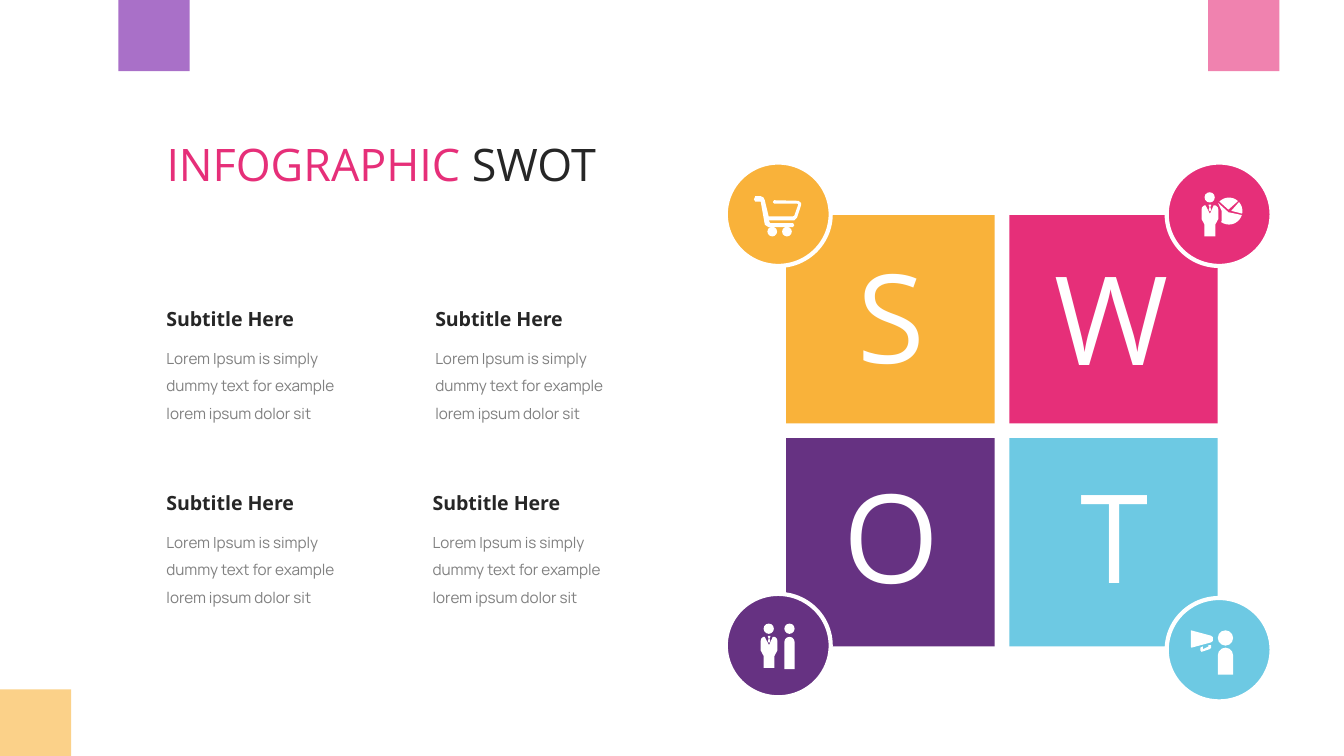
import math
from dataclasses import dataclass

import pptx
import pptx.dml.color
import pptx.enum.shapes
import pptx.enum.text
import pptx.util

Pt = pptx.util.Pt
Kind = pptx.enum.shapes.MSO_SHAPE
Align = pptx.enum.text.PP_ALIGN


@dataclass(frozen=True)
class Theme:
    white: str = "FFFFFF"
    ink: str = "262626"
    gray: str = "808080"
    pink: str = "E62F79"
    plum: str = "663282"
    blue: str = "6DC9E3"
    gold: str = "F9B23A"
    sand: str = "FBD189"
    rose: str = "F082AF"
    lilac: str = "A970C8"
    head: str = "Open Sans"
    text: str = "Manrope"
    title: float = 24
    sub: float = 10.5
    body: float = 8.2
    letter: float = 66


T = Theme()


def rgb(code):
    return pptx.dml.color.RGBColor.from_string(code)


def write(shape, runs, size, font=T.head, bold=False, align=Align.LEFT, space=1.0):
    """Fill a text shape with (text, colour) runs."""
    frame = shape.text_frame
    frame.word_wrap = True
    frame.auto_size = pptx.enum.text.MSO_AUTO_SIZE.NONE
    frame.vertical_anchor = pptx.enum.text.MSO_ANCHOR.MIDDLE
    frame.margin_left = frame.margin_right = Pt(6.4)
    frame.margin_top = frame.margin_bottom = Pt(3)
    par = frame.paragraphs[0]
    par.alignment = align
    par.line_spacing = space
    for text, color in runs:
        run = par.add_run()
        run.text = text
        run.font.name = font
        run.font.size = Pt(size)
        run.font.bold = bold
        run.font.color.rgb = rgb(color)


def label(shapes, box, text, color, size, **form):
    write(shapes.add_textbox(*map(Pt, box)), [(text, color)], size, **form)


def paint(shape, color, edge=None):
    shape.shadow.inherit = False
    shape.fill.solid()
    shape.fill.fore_color.rgb = rgb(color)
    if edge:
        shape.line.color.rgb = rgb(edge)
        shape.line.width = Pt(2.25)
    else:
        shape.line.fill.background()
    return shape


def block(shapes, kind, box, color, edge=None):
    return paint(shapes.add_shape(kind, *map(Pt, box)), color, edge)


# Icon parts, placed from the corner (x, y) of their badge
def outline(shapes, x, y, points, color=T.white):
    spots = [(Pt(x + a), Pt(y + b)) for a, b in points]
    pen = shapes.build_freeform(*spots[0])
    pen.add_line_segments(spots[1:], close=True)
    paint(pen.convert_to_shape(), color)


def dot(shapes, x, y, size):
    block(shapes, Kind.OVAL, (x, y, size, size), T.white)


def torso(shapes, x, y, wide, high):
    shape = block(shapes, Kind.ROUND_2_SAME_RECTANGLE, (x, y, wide, high), T.white)
    shape.adjustments[0] = 0.5


def arc(first, last, mid=(33.4, 26), radius=7.2):
    turns = [math.radians(first + (last - first) * i / 12) for i in range(13)]
    return [(mid[0] + radius * math.cos(t), mid[1] + radius * math.sin(t)) for t in turns]


SUIT = [(6.5, 0), (4.5, 4.5), (2.2, 0), (1.4, 0), (0.3, 1), (0, 2.3), (0, 7.2),
        (1.6, 10.2), (1.6, 16.6), (7.4, 16.6), (7.4, 10.2), (9, 7.2), (9, 2.3),
        (8.7, 1), (7.6, 0)]
TIE = [(3.8, -0.5), (5.2, -0.5), (5.2, 0), (4.7, 0.8), (5.2, 2.4), (4.5, 3.2),
       (3.8, 2.4), (4.3, 0.8), (3.8, 0)]
HORN = [(13, 17.3), (23.8, 20.2), (24.8, 21), (24.8, 23), (23.8, 23.8), (13.4, 26.6),
        (13, 26.3)]
GRIP = [(18, 26.6), (19.4, 25.9), (19.4, 27.4), (22.3, 26), (22.3, 25.2), (23.8, 25.2),
        (23.8, 26.6), (23, 27.4), (18.7, 28.8), (18, 28.1)]
CART = [(15.8, 18), (18.7, 18), (20.2, 18.7), (20.9, 20.2), (23, 28.8), (36, 28.8),
        (36.7, 28.5), (38.9, 22.3), (38.2, 22), (25.9, 22), (25.2, 21.2), (25.9, 20.2),
        (38.9, 20.5), (40.3, 21.6), (40.3, 23), (38.2, 29.5), (36.7, 31), (23, 31),
        (23.8, 32.4), (36, 32.4), (36.7, 33.5), (36, 34.6), (23, 34.6), (21.6, 33.8),
        (20.9, 33.1), (18.7, 20.9), (15.8, 20.9), (15.1, 19.8)]


def worker(shapes, x, y):
    dot(shapes, x + 20.3, y + 15.9, 5.5)
    for points in (SUIT, TIE):
        outline(shapes, x + 18.7, y + 23, points)


def cart(shapes, x, y):
    outline(shapes, x, y, CART)
    for left in (22.3, 30.2):
        dot(shapes, x + left, y + 34.4, 5.2)


def chart(shapes, x, y):
    worker(shapes, x, y)
    outline(shapes, x, y, [(33.1, 25.2)] + arc(225, 312))
    outline(shapes, x, y, [(34.6, 25.9)] + arc(-42, 11))
    outline(shapes, x, y, [(33.1, 26.6)] + arc(17, 125)
            + [(29.5, 31), (29.5, 25.9), (27.6, 21.6)])


def team(shapes, x, y):
    worker(shapes, x, y)
    dot(shapes, x + 31.4, y + 15.9, 5.5)
    torso(shapes, x + 31.4, y + 23, 5.5, 17.3)


def speaker(shapes, x, y):
    dot(shapes, x + 27.4, y + 17.3, 8.2)
    torso(shapes, x + 27.4, y + 26.6, 8.2, 14.4)
    for points in (HORN, GRIP):
        outline(shapes, x, y, points)


# Regions
def corners(shapes, size):
    for x, y, color in ((0, 369.4, T.sand), (647.3, 0, T.rose), (63.4, 0, T.lilac)):
        block(shapes, Kind.RECTANGLE, (x, y, size, size), color)


def heading(shape, box):
    shape.left, shape.top, shape.width, shape.height = map(Pt, box)
    write(shape, [("INFOGRAPHIC", T.pink), (" SWOT", T.ink)], T.title)


def note(shapes, x, y):
    label(shapes, (x, y, 126.7, 20.2), "Subtitle Here", T.ink, T.sub, bold=True)
    label(shapes, (x, y + 18, 119.5, 51.1),
          "Lorem Ipsum is simply dummy text for example lorem ipsum dolor sit",
          T.gray, T.body, font=T.text, space=1.5)


def tile(shapes, x, y, size, color, letter, shift):
    group = shapes.add_group_shape().shapes
    block(group, Kind.RECTANGLE, (x, y, size, size), color)
    wide, high = 77, 87.1
    box = (x + (size - wide) / 2 + shift[0], y + (size - high) / 2 + shift[1], wide, high)
    label(group, box, letter, T.white, T.letter, align=Align.CENTER)


def badge(shapes, x, y, color, icon):
    group = shapes.add_group_shape().shapes
    block(group, Kind.OVAL, (x, y, 56.2, 55.4), color, edge=T.white)
    icon(group, x, y)


def swot(shapes, x, y, size, step):
    # Column, row, colour, letter, letter shift, icon, badge top
    parts = ((0, 0, T.gold, "S", (0.7, -2.9), cart, -28.1),
             (1, 0, T.pink, "W", (-1, -1.4), chart, -28.1),
             (0, 1, T.plum, "O", (0.7, -4.4), team, 203),
             (1, 1, T.blue, "T", (0.5, -4.4), speaker, 205.2))
    for col, row, color, letter, shift, _, _ in parts:
        tile(shapes, x + col * step, y + row * step, size, color, letter, shift)
    for col, _, color, _, _, icon, top in parts:
        badge(shapes, x - 32.4 + col * 236.2, y + top, color, icon)


def main():
    deck = pptx.Presentation()
    deck.slide_width, deck.slide_height = Pt(720), Pt(405)
    slide = deck.slides.add_slide(deck.slide_layouts[5])
    heading(slide.shapes.title, (82.8, 69.8, 293, 36))
    for x, y in ((82.8, 160.6), (226.8, 160.6), (82.8, 259.2), (225.4, 259.2)):
        note(slide.shapes, x, y)
    swot(slide.shapes, 421.2, 115.2, 111.6, 119.5)
    corners(slide.shapes, 38.2)
    deck.save("out.pptx")


if __name__ == "__main__":
    main()
